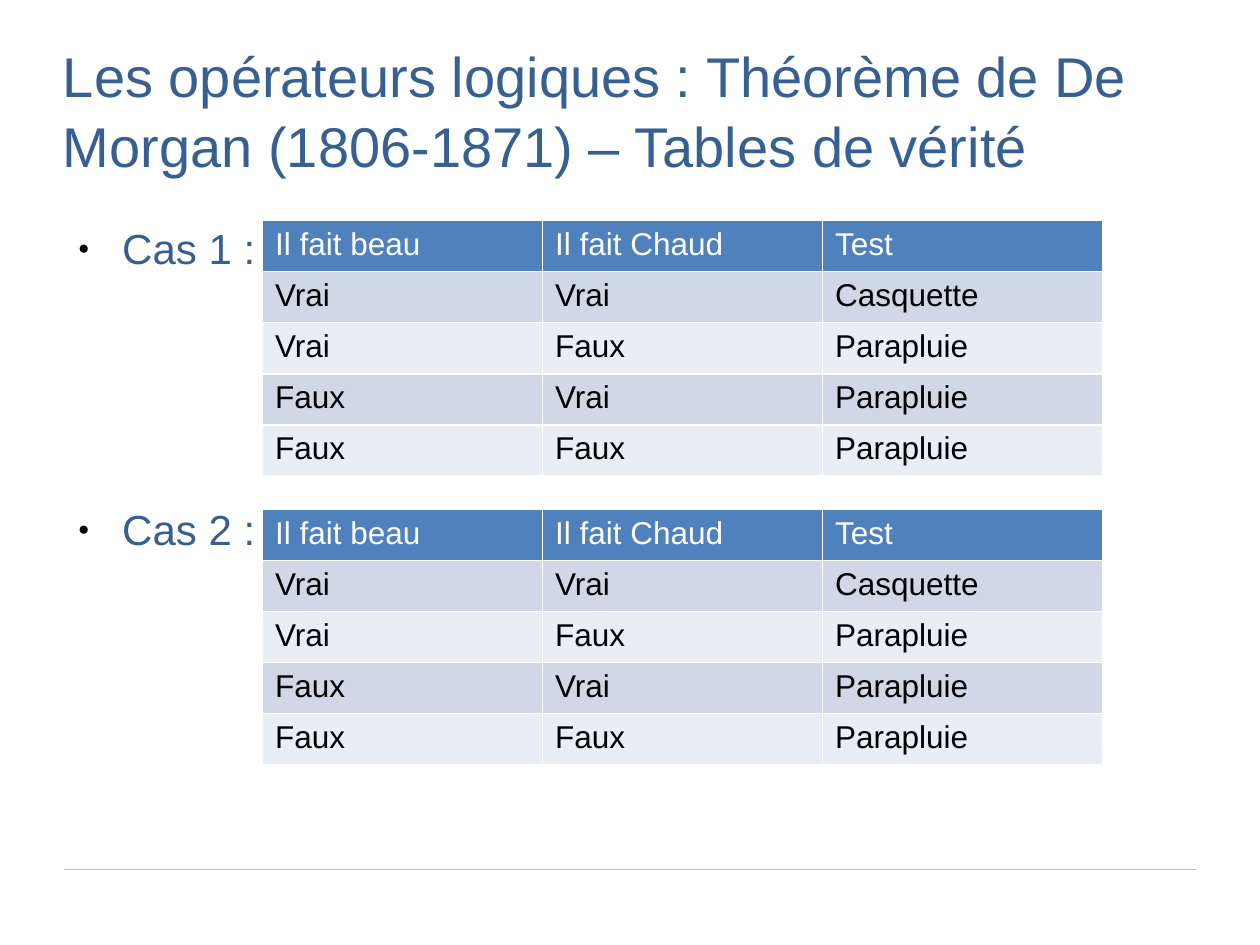
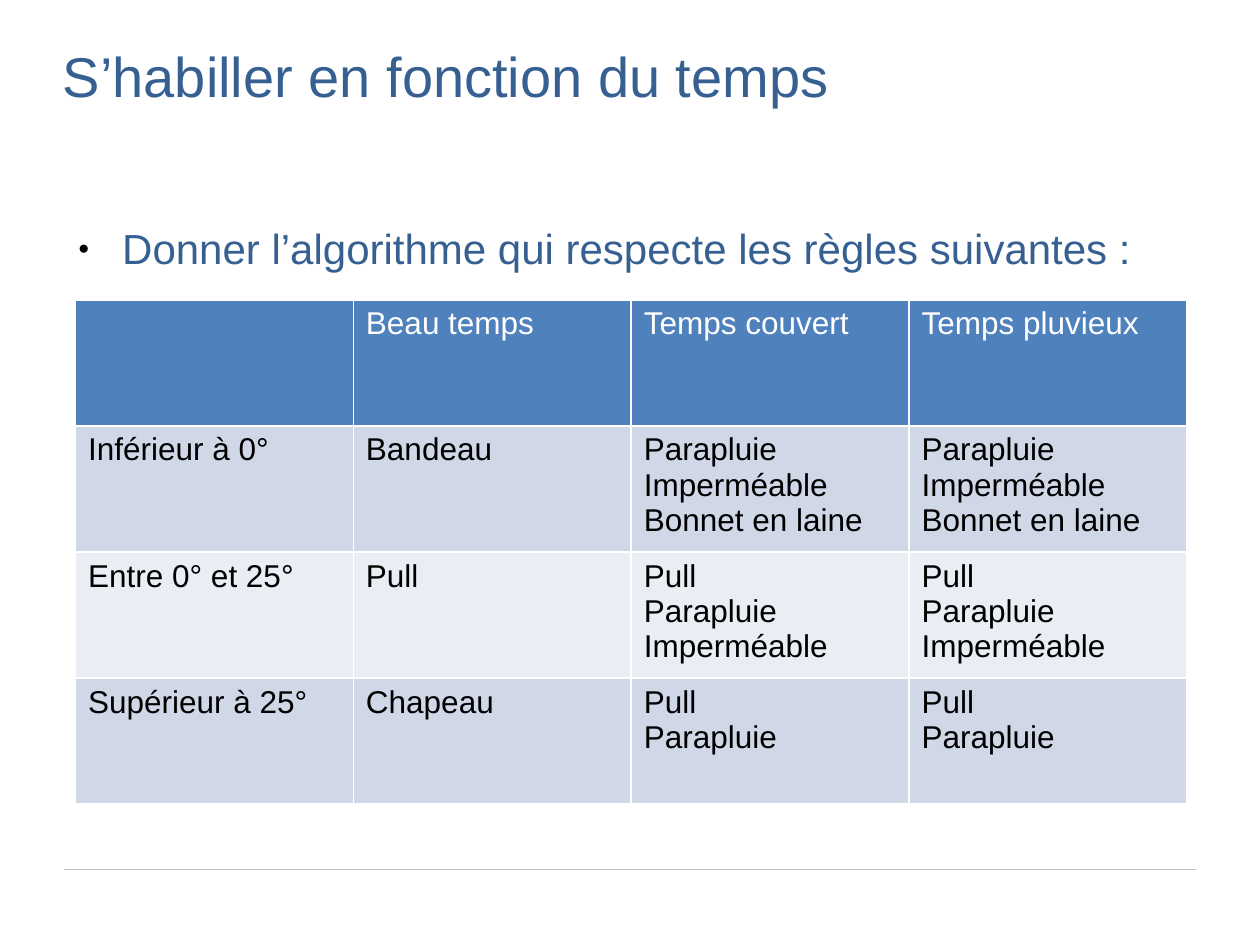
"""Build two slides on logic tables and dressing for the weather."""
from lxml import etree
from pptx import Presentation
from pptx.dml.color import RGBColor
from pptx.enum.shapes import MSO_CONNECTOR
from pptx.oxml.ns import qn
from pptx.util import Pt

LOGIC = [
    ("Il fait beau", "Il fait Chaud", "Test"),
    ("Vrai", "Vrai", "Casquette"),
    ("Vrai", "Faux", "Parapluie"),
    ("Faux", "Vrai", "Parapluie"),
    ("Faux", "Faux", "Parapluie"),
]
COLD = "Parapluie\nImperméable\nBonnet en laine"
MILD = "Pull\nParapluie\nImperméable"
HOT = "Pull\nParapluie"
WEATHER = [
    ("", "Beau temps", "Temps couvert", "Temps pluvieux"),
    ("Inférieur à 0°", "Bandeau", COLD, COLD),
    ("Entre 0° et 25°", "Pull", MILD, MILD),
    ("Supérieur à 25°", "Chapeau", HOT, HOT),
]
SLIDES = [
    {
        "title": "Les opérateurs logiques : Théorème de De Morgan (1806-1871) – Tables de vérité",
        "points": ["Cas 1 :", "Cas 2 :"],
        "tables": [(LOGIC, 150, 126, 480, 146), (LOGIC, 150, 291, 480, 146)],
    },
    {
        "title": "S’habiller en fonction du temps",
        "points": ["Donner l’algorithme qui respecte les règles suivantes :"],
        "tables": [(WEATHER, 43.2, 171.5, 635, 288)],
    },
]

NAVY = RGBColor(0x37, 0x60, 0x92)
BLUE = RGBColor(0x4F, 0x81, 0xBD)
BANDS = (RGBColor(0xE9, 0xED, 0xF4), RGBColor(0xD0, 0xD8, 0xE8))
WHITE = RGBColor(0xFF, 0xFF, 0xFF)
BLACK = RGBColor(0, 0, 0)
GREY = RGBColor(0xBF, 0xBF, 0xBF)
STRAIGHT = MSO_CONNECTOR.STRAIGHT
FONT = "Arial"
LEFT, WIDTH = 36, 648
POINT_GAP = 119.5


def style(para, size, color):
    font = para.font
    font.name, font.size, font.bold = FONT, Pt(size), False
    font.color.rgb = color


def add_tag(parent, tag, **attrs):
    return etree.SubElement(parent, qn(tag), **attrs)


def add_color(parent, color):
    add_tag(parent, "a:srgbClr", val=str(color))


def add_box(slide, top, height):
    box = slide.shapes.add_textbox(Pt(LEFT), Pt(top), Pt(WIDTH), Pt(height))
    frame = box.text_frame
    frame.word_wrap = True
    frame.margin_left = frame.margin_right = 0
    frame.margin_top = frame.margin_bottom = 0
    return frame


def add_rule(slide):
    line = slide.shapes.add_connector(STRAIGHT, Pt(36.7), Pt(496.8), Pt(683.3), Pt(496.8))
    line.line.color.rgb = GREY
    line.line.width = Pt(0.75)
    add_tag(line._element.spPr, "a:effectLst")


def add_title(slide, text):
    para = add_box(slide, 21.6, 90).paragraphs[0]
    para.text = text
    para.line_spacing = 1.05
    style(para, 32, NAVY)


def add_bullet(para):
    props = para._p.get_or_add_pPr()
    props.set("marL", str(Pt(33.84)))
    props.set("indent", str(Pt(-25.2)))
    add_color(add_tag(props, "a:buClr"), BLACK)
    add_tag(props, "a:buSzPct", val="45000")
    add_tag(props, "a:buFont", typeface=FONT)
    add_tag(props, "a:buChar", char="●")


def add_points(slide, points):
    frame = add_box(slide, 126, 356.4)
    for num, text in enumerate(points):
        para = frame.add_paragraph() if num else frame.paragraphs[0]
        para.text = text
        para.line_spacing = 1.05
        para.space_before = Pt(POINT_GAP if num else 0)
        para.space_after = Pt(10.6)
        add_bullet(para)
        style(para, 24, NAVY)


def add_edges(cell):
    props = cell._tc.get_or_add_tcPr()
    for side in ("a:lnL", "a:lnR", "a:lnT", "a:lnB"):
        edge = add_tag(props, side, w=str(Pt(1)))
        add_color(add_tag(edge, "a:solidFill"), WHITE)


def add_grid(slide, rows, left, top, width, height):
    count, span = len(rows), len(rows[0])
    grid = slide.shapes.add_table(count, span, Pt(left), Pt(top), Pt(width), Pt(height)).table
    for col in grid.columns:
        col.width = Pt(width / span)
    for r, row in enumerate(rows):
        grid.rows[r].height = Pt(height / count)
        for c, text in enumerate(row):
            cell = grid.cell(r, c)
            cell.text = text
            add_edges(cell)
            cell.fill.solid()
            cell.fill.fore_color.rgb = BANDS[r % 2] if r else BLUE
            for para in cell.text_frame.paragraphs:
                style(para, 18, BLACK if r else WHITE)


def main():
    deck = Presentation()
    deck.slide_width, deck.slide_height = Pt(720), Pt(540)
    for page in SLIDES:
        slide = deck.slides.add_slide(deck.slide_layouts[6])
        add_rule(slide)
        add_title(slide, page["title"])
        add_points(slide, page["points"])
        for table in page["tables"]:
            add_grid(slide, *table)
    deck.save("out.pptx")


if __name__ == "__main__":
    main()
